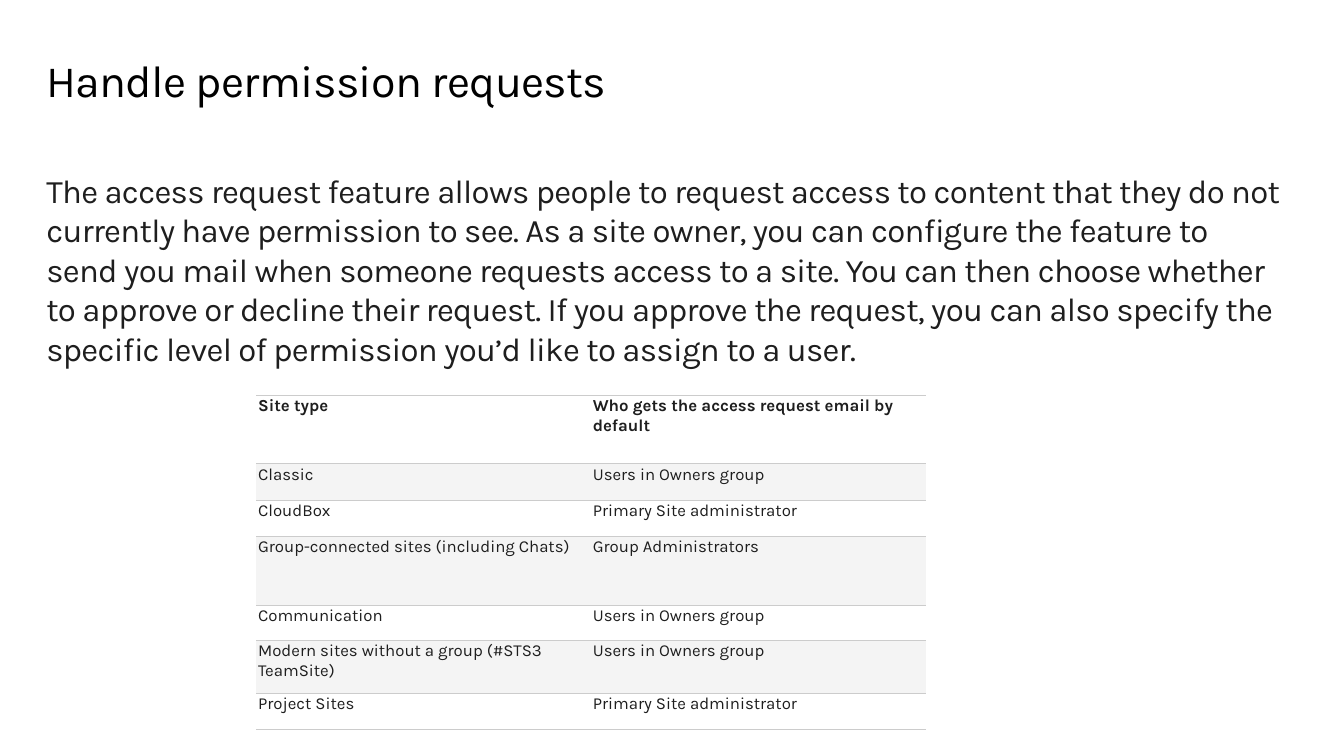
from lxml.etree import SubElement
from pptx import Presentation
from pptx.dml.color import RGBColor
from pptx.oxml.ns import qn
from pptx.util import Inches, Pt

BLACK = RGBColor(0x00, 0x00, 0x00)
INK = RGBColor(0x1E, 0x1E, 0x1E)
WHITE = RGBColor(0xFF, 0xFF, 0xFF)
STRIPE = RGBColor(0xF4, 0xF4, 0xF4)
RULE = RGBColor(0xCC, 0xCC, 0xCC)

INTRO = (
    "The access request feature allows people to request access to content that they do "
    "not currently have permission to see. As a site owner, you can configure the feature "
    "to send you mail when someone requests access to a site. You can then choose whether "
    "to approve or decline their request. If you approve the request, you can also specify "
    "the specific level of permission you’d like to assign to a user."
)
SITE_TYPES = [
    ("Site type", "Who gets the access request email by default", 0.68),
    ("Classic", "Users in Owners group", 0.36),
    ("CloudBox", "Primary Site administrator", 0.36),
    ("Group-connected sites (including Chats)", "Group Administrators", 0.68),
    ("Communication", "Users in Owners group", 0.35),
    ("Modern sites without a group (#STS3 TeamSite)", "Users in Owners group", 0.53),
    ("Project Sites", "Primary Site administrator", 0.35),
]


class SlideBuilder:
    """Holds the font and current page and adds styled elements to it."""

    def __init__(self, page, font_name):
        self.page = page
        self.font_name = font_name

    def style(self, para, size, color, bold=False):
        para.font.name = self.font_name
        para.font.size = Pt(size)
        para.font.bold = bold
        para.font.color.rgb = color

    def text(self, words, left, top, width, height, size, color, line_spacing=1.0):
        box = self.page.shapes.add_textbox(
            Inches(left), Inches(top), Inches(width), Inches(height))
        frame = box.text_frame
        frame.word_wrap = True
        frame.margin_left = 0
        frame.margin_right = Inches(0.16)
        frame.margin_top = frame.margin_bottom = Inches(0.1)
        para = frame.paragraphs[0]
        para.line_spacing = line_spacing
        span = para.add_run()
        span.text = words
        span._r.get_or_add_rPr().set("spc", "-50")
        self.style(para, size, color)

    def borders(self, cell):
        properties = cell._tc.get_or_add_tcPr()
        for side in ("lnL", "lnR"):
            SubElement(SubElement(properties, qn(f"a:{side}"), w="0"), qn("a:noFill"))
        for side in ("lnT", "lnB"):
            line = SubElement(properties, qn(f"a:{side}"), w=str(Pt(0.38)))
            fill = SubElement(line, qn("a:solidFill"))
            SubElement(fill, qn("a:srgbClr"), val=str(RULE))

    def table(self, rows, left, top, column_width, size):
        height = sum(row[-1] for row in rows)
        table = self.page.shapes.add_table(
            len(rows), 2, Inches(left), Inches(top),
            Inches(2 * column_width), Inches(height)).table
        for column in table.columns:
            column.width = Inches(column_width)
        for index, (*labels, row_height) in enumerate(rows):
            table.rows[index].height = Inches(row_height)
            for cell, label in zip(table.rows[index].cells, labels):
                cell.text = label
                cell.margin_left = cell.margin_right = Inches(0.02)
                cell.margin_top = cell.margin_bottom = Inches(0.01)
                self.borders(cell)
                cell.fill.solid()
                cell.fill.fore_color.rgb = STRIPE if index % 2 else WHITE
                self.style(cell.text_frame.paragraphs[0], size, INK, bold=index == 0)


def main():
    deck = Presentation()
    deck.slide_width = Inches(13.33)
    deck.slide_height = Inches(7.5)
    builder = SlideBuilder(deck.slides.add_slide(deck.slide_layouts[6]), "Karla")
    builder.text("Handle permission requests", 0.46, 0.48, 12.4, 0.74, 32, BLACK, 0.9)
    builder.text(INTRO, 0.46, 1.59, 12.4, 2.18, 23.5, INK)
    builder.table(SITE_TYPES, 2.54, 3.92, 3.32, 12)
    deck.save("out.pptx")


if __name__ == "__main__":
    main()
